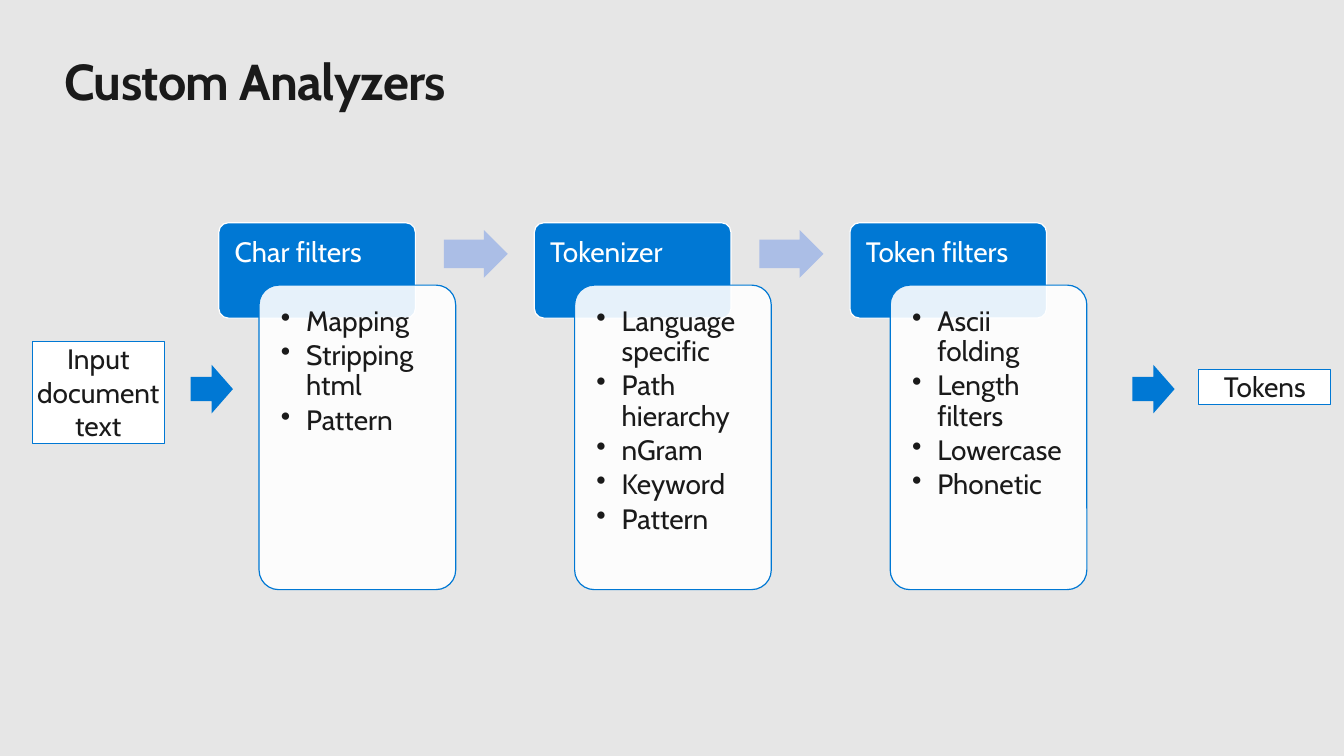
import collections

import pptx
import pptx.dml.color
import pptx.enum.shapes
import pptx.enum.text
import pptx.oxml.ns
import pptx.util
from lxml import etree

COLORS = {
    "background": "E6E6E6",
    "text": "1A1A1A",
    "blue": "0078D4",
    "pale blue": "ABBEE6",
    "white": "FFFFFF",
}
FONT = "Cabin"
BODY_SIZE = 20
LINE_WIDTH = 0.85
INDENT = 0.25
STAGE_PITCH = 3.13
SHAPES = pptx.enum.shapes.MSO_SHAPE
ALIGN = pptx.enum.text.PP_ALIGN

Box = collections.namedtuple("Box", "left top width height")

STAGES = [
    ("Char filters", ["Mapping", "Stripping html", "Pattern"]),
    ("Tokenizer", ["Language specific", "Path hierarchy", "nGram", "Keyword", "Pattern"]),
    ("Token filters", ["Ascii folding", "Length filters", "Lowercase", "Phonetic"]),
]
FIRST_STAGE = Box(2.17, 2.21, 2.35, 3.64)
ENDPOINTS = [
    ("Input document text", Box(0.32, 3.39, 1.31, 1.01)),
    ("Tokens", Box(11.89, 3.67, 1.31, 0.34)),
]
ENDPOINT_ARROWS = [Box(1.89, 3.62, 0.42, 0.48), Box(11.23, 3.62, 0.42, 0.48)]


def color(name):
    """Return the named colour."""
    return pptx.dml.color.RGBColor.from_string(COLORS[name])


def share(box, left, top, width, height):
    """Return the part of a box given by shares of its size."""
    return Box(
        box.left + left * box.width,
        box.top + top * box.height,
        width * box.width,
        height * box.height,
    )


def add_panel(slide, kind, box, fill, line=None):
    """Add a flat shape with the given fill and outline."""
    shape = slide.shapes.add_shape(kind, *map(pptx.util.Inches, box))
    shape.shadow.inherit = False
    shape.fill.solid()
    shape.fill.fore_color.rgb = color(fill)
    if line:
        shape.line.color.rgb = color(line)
        shape.line.width = pptx.util.Pt(LINE_WIDTH)
    else:
        shape.line.fill.background()
    return shape


def set_frame(frame, inset):
    """Anchor wrapped text at the top with one inset on every side."""
    frame.word_wrap = True
    frame.vertical_anchor = pptx.enum.text.MSO_ANCHOR.TOP
    frame.margin_left = frame.margin_right = pptx.util.Inches(inset)
    frame.margin_top = frame.margin_bottom = pptx.util.Inches(inset)


def format_runs(paragraph, name, size=BODY_SIZE, bold=False):
    """Format every run of a paragraph."""
    for run in paragraph.runs:
        run.font.name = FONT
        run.font.size = pptx.util.Pt(size)
        run.font.bold = bold
        run.font.color.rgb = color(name)


def add_bullet(paragraph):
    """Give a paragraph a hanging round bullet."""
    properties = paragraph._p.get_or_add_pPr()
    properties.set("marL", str(pptx.util.Inches(INDENT)))
    properties.set("indent", str(pptx.util.Inches(-INDENT)))
    bullet = etree.SubElement(properties, pptx.oxml.ns.qn("a:buChar"))
    bullet.set("char", "•")


def add_title(slide, text, box):
    """Place the slide title."""
    title = slide.shapes.title
    title.left, title.top, title.width, title.height = map(pptx.util.Inches, box)
    frame = title.text_frame
    frame.text = text
    set_frame(frame, 0)
    frame.auto_size = pptx.enum.text.MSO_AUTO_SIZE.SHAPE_TO_FIT_TEXT
    paragraph = frame.paragraphs[0]
    paragraph.alignment = ALIGN.LEFT
    format_runs(paragraph, "text", 36, True)
    paragraph.runs[0]._r.get_or_add_rPr().set("spc", "-50")


def add_header(slide, text, box):
    """Add the blue heading of a stage."""
    header = add_panel(slide, SHAPES.ROUNDED_RECTANGLE, box, "blue", "white")
    header.adjustments[0] = 0.1
    set_frame(header.text_frame, 0.13)
    header.text_frame.text = text
    paragraph = header.text_frame.paragraphs[0]
    paragraph.alignment = ALIGN.LEFT
    paragraph.line_spacing = 0.9
    format_runs(paragraph, "white")


def add_card(slide, items, box):
    """Add the translucent card with the bullet list of a stage."""
    card = add_panel(slide, SHAPES.ROUNDED_RECTANGLE, box, "white", "blue")
    card.adjustments[0] = 0.1
    fill = card._element.spPr.find(pptx.oxml.ns.qn("a:solidFill"))
    etree.SubElement(fill[0], pptx.oxml.ns.qn("a:alpha")).set("val", "90000")
    set_frame(card.text_frame, 0.16)
    card.text_frame.text = "\n".join(items)
    for paragraph in card.text_frame.paragraphs:
        add_bullet(paragraph)
        paragraph.alignment = ALIGN.LEFT
        paragraph.line_spacing = 0.9
        paragraph.space_after = pptx.util.Pt(0.15 * BODY_SIZE)
        format_runs(paragraph, "text")


def add_stage(slide, heading, items, box, has_next):
    """Add one stage and the arrow leading to the next."""
    add_header(slide, heading, share(box, 0, 0, 0.83, 0.26))
    add_card(slide, items, share(box, 0.17, 0.17, 0.83, 0.83))
    if has_next:
        arrow_box = share(box, 0.95, 0.02, 0.27, 0.13)
        arrow = add_panel(slide, SHAPES.RIGHT_ARROW, arrow_box, "pale blue")
        arrow.adjustments[0] = 0.6


def add_endpoint(slide, text, box):
    """Add a labelled box at one end of the flow."""
    shape = add_panel(slide, SHAPES.RECTANGLE, box, "white", "blue")
    set_frame(shape.text_frame, 0)
    shape.text_frame.auto_size = pptx.enum.text.MSO_AUTO_SIZE.SHAPE_TO_FIT_TEXT
    shape.text_frame.text = text
    paragraph = shape.text_frame.paragraphs[0]
    paragraph.alignment = ALIGN.CENTER
    format_runs(paragraph, "text")


def main():
    """Build the slide and save it."""
    presentation = pptx.Presentation()
    presentation.slide_width = pptx.util.Inches(13.33)
    presentation.slide_height = pptx.util.Inches(7.5)
    slide = presentation.slides.add_slide(presentation.slide_layouts.get_by_name("Title Only"))
    slide.background.fill.solid()
    slide.background.fill.fore_color.rgb = color("background")

    add_title(slide, "Custom Analyzers", Box(0.64, 0.5, 12.05, 0.61))
    for index, (heading, items) in enumerate(STAGES):
        box = FIRST_STAGE._replace(left=FIRST_STAGE.left + index * STAGE_PITCH)
        add_stage(slide, heading, items, box, index < len(STAGES) - 1)
    for text, box in ENDPOINTS:
        add_endpoint(slide, text, box)
    for box in ENDPOINT_ARROWS:
        add_panel(slide, SHAPES.RIGHT_ARROW, box, "blue")

    presentation.save("out.pptx")


if __name__ == "__main__":
    main()
